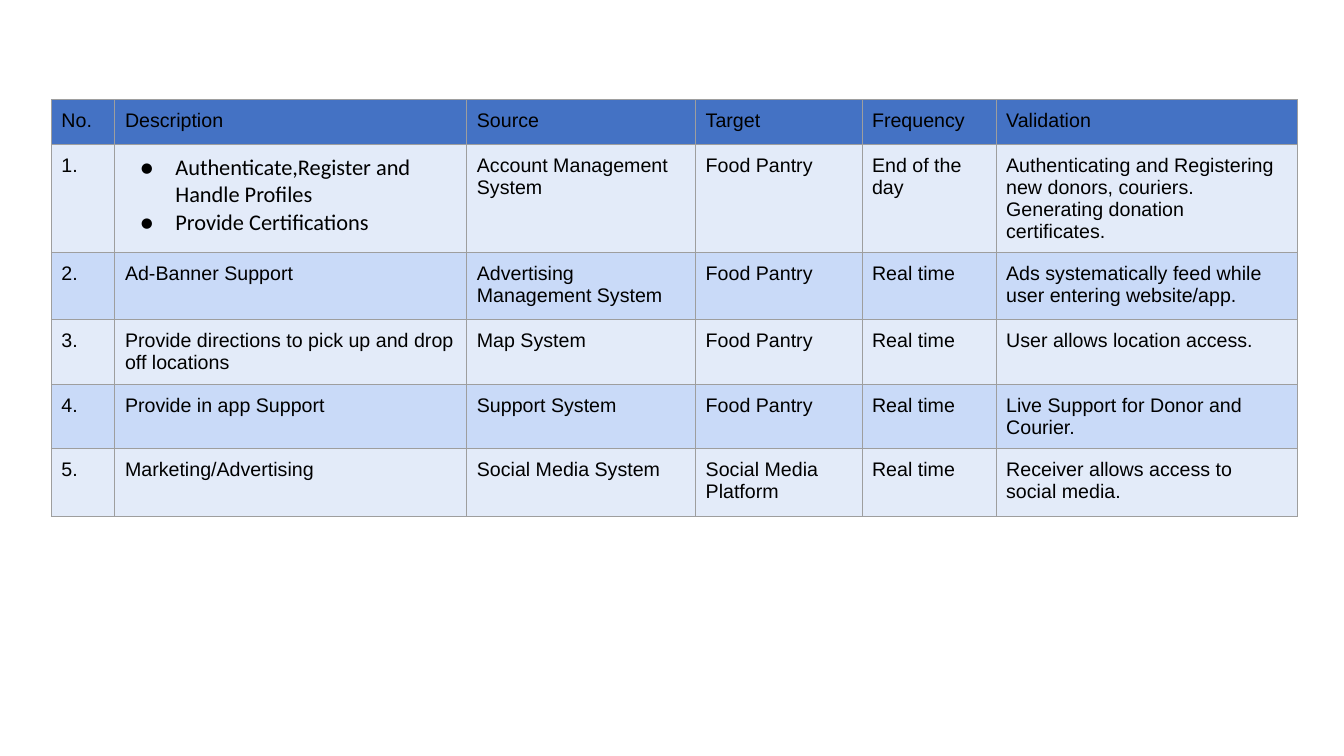
from lxml import etree
from pptx import Presentation
from pptx import util as u
from pptx.dml.color import RGBColor
from pptx.oxml import ns

BLACK = RGBColor(0x00, 0x00, 0x00)
BLUE = RGBColor(0x44, 0x72, 0xC4)
PALE = RGBColor(0xE3, 0xEB, 0xF9)
SKY = RGBColor(0xC9, 0xDA, 0xF8)
GRAY = RGBColor(0x9E, 0x9E, 0x9E)

WIDTHS = [0.63, 3.49, 2.27, 1.65, 1.33, 2.99]
HEIGHTS = [0.44, 1.07, 0.67, 0.64, 0.64, 0.67]
TASKS = ["Authenticate,Register and Handle Profiles", "Provide Certifications"]
# A list in a cell holds its paragraphs
ROWS = [
    ["No.", "Description", "Source", "Target", "Frequency", "Validation"],
    ["1.", TASKS, "Account Management System", "Food Pantry", "End of the day",
     ["Authenticating and Registering new donors, couriers.",
      "Generating donation certificates."]],
    ["2.", "Ad-Banner Support", "Advertising Management System", "Food Pantry",
     "Real time", "Ads systematically feed while user entering website/app."],
    ["3.", "Provide directions to pick up and drop off locations", "Map System",
     "Food Pantry", "Real time", "User allows location access."],
    ["4.", "Provide in app Support", "Support System", "Food Pantry",
     "Real time", "Live Support for Donor and Courier."],
    ["5.", "Marketing/Advertising", "Social Media System",
     "Social Media Platform", "Real time",
     "Receiver allows access to social media."],
]


def add_tag(parent, tag, **attrs):
    return etree.SubElement(parent, ns.qn(tag), **attrs)


def add_bullet(para):
    props = para._p.get_or_add_pPr()
    props.set("marL", str(u.Inches(0.5)))
    props.set("indent", str(u.Inches(-0.35)))
    color = add_tag(props, "a:buClr")
    add_tag(color, "a:srgbClr", val=str(BLACK))
    add_tag(props, "a:buFont", typeface="Calibri")
    add_tag(props, "a:buChar", char="●")


def write(frame, lines, size=14, font="Arial", color=BLACK, bullet=False):
    for i, line in enumerate(lines):
        para = frame.add_paragraph() if i else frame.paragraphs[0]
        if bullet:
            add_bullet(para)
        run = para.add_run()
        run.text = line
        run.font.size = u.Pt(size)
        run.font.name = font
        run.font.color.rgb = color


def style_cell(cell, color):
    # Borders come before the fill in the cell's XML
    props = cell._tc.get_or_add_tcPr()
    for side in "LRTB":
        line = add_tag(props, "a:ln" + side, w=str(u.Pt(0.75)))
        fill = add_tag(line, "a:solidFill")
        add_tag(fill, "a:srgbClr", val=str(GRAY))
    cell.fill.solid()
    cell.fill.fore_color.rgb = color
    pad = u.Inches(0.1)
    cell.margin_left = cell.margin_right = pad
    cell.margin_top = cell.margin_bottom = pad


def add_grid(slide, left, top, width, height):
    frame = slide.shapes.add_table(
        len(ROWS), len(WIDTHS), u.Inches(left), u.Inches(top),
        u.Inches(width), u.Inches(height))
    table = frame.table
    for col, size in zip(table.columns, WIDTHS):
        col.width = u.Inches(width * size / sum(WIDTHS))
    for row, size in zip(table.rows, HEIGHTS):
        row.height = u.Inches(height * size / sum(HEIGHTS))

    # Header, then alternating bands
    for r, row in enumerate(ROWS):
        color = BLUE if r == 0 else PALE if r % 2 else SKY
        for c, value in enumerate(row):
            cell = table.cell(r, c)
            style_cell(cell, color)
            if value is TASKS:
                write(cell.text_frame, value, size=16, font="Calibri",
                      bullet=True)
            else:
                lines = value if isinstance(value, list) else [value]
                write(cell.text_frame, lines)


def main():
    deck = Presentation()
    deck.slide_width = u.Inches(13.33)
    deck.slide_height = u.Inches(7.5)
    slide = deck.slides.add_slide(deck.slide_layouts[6])
    add_grid(slide, 0.51, 0.99, sum(WIDTHS), sum(HEIGHTS))
    deck.save("out.pptx")


if __name__ == "__main__":
    main()
